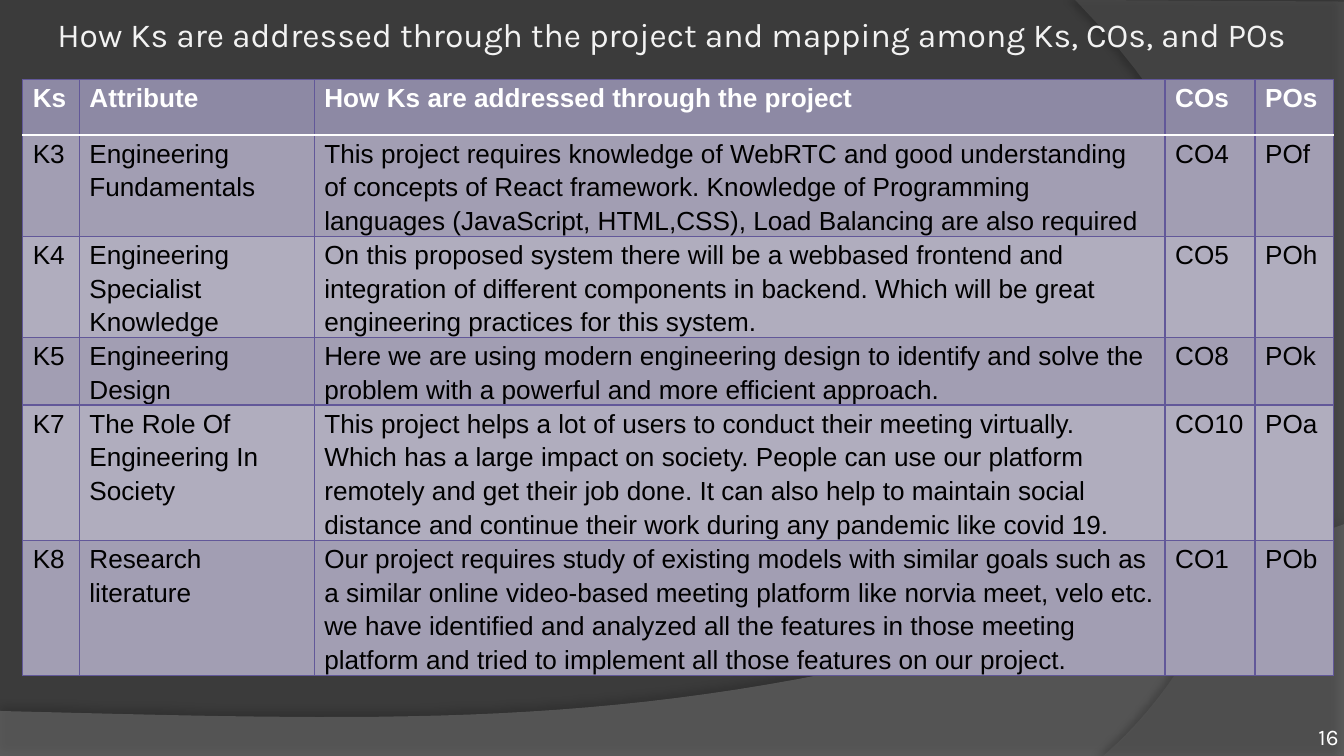
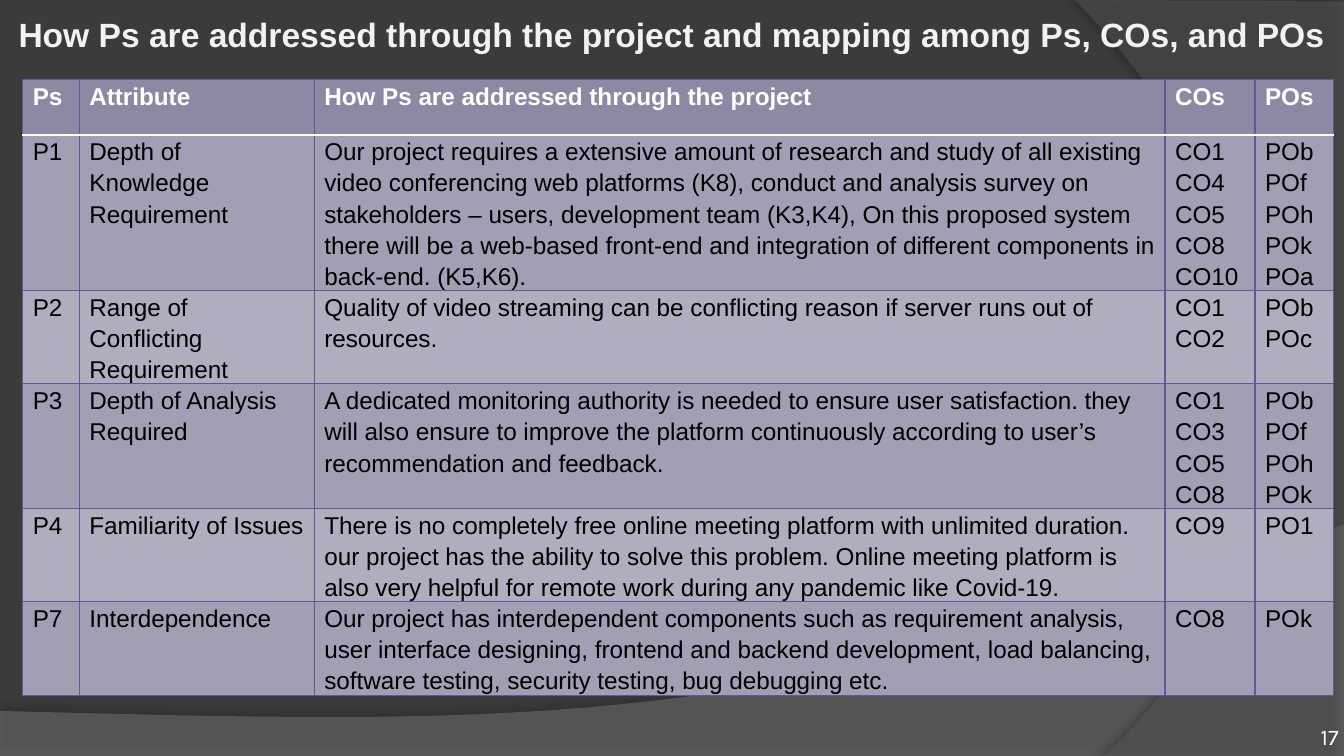
from dataclasses import dataclass

from lxml.etree import SubElement
from pptx import Presentation
from pptx.dml.color import RGBColor
from pptx.enum.text import MSO_ANCHOR, MSO_AUTO_SIZE, PP_ALIGN
from pptx.oxml.ns import qn
from pptx.util import Cm, Pt

# Shared look
BACKGROUND = "3B3B3B"
TITLE_COLOR = "F2F2F2"
WHITE = "FFFFFF"
BLACK = "000000"
BORDER = "625899"
HEADER_FILL = "8D89A4"
ROW_FILLS = ("A29EB3", "B0ADBE")
COLUMNS = (1.07, 4.44, 16.08, 1.7, 1.48)
ROW_HEIGHT = 1.05

Point = tuple[float, float]


@dataclass
class Band:
    """Translucent background shape: straight corners, then one Bezier curve."""
    corners: list[Point]
    curve: list[Point]
    color: str
    alpha: int
    shadow_alpha: int
    shadow_distance: float
    shadow_angle: int


@dataclass
class MappingSlide:
    number: int
    title: str
    title_font: str
    title_bold: bool
    table_height: float
    text_size: int
    rows: list[tuple[str, str, str, str, str]]


BANDS = [
    Band([(0, 13.44), (0, 14.29), (25.4, 14.29), (25.4, 9.91)],
         [(14.2, 13.89), (9.93, 13.69), (0, 13.44)],
         "7F7F7F", 45, 35, 3.5, 270),
    Band([(25.4, 0.03), (25.4, 14.29), (20.85, 14.29)],
         [(23.75, 11.79), (25.86, 5.72), (20.32, 0)],
         "5E5E5E", 40, 45, 4, 180),
]

SLIDES = [
    MappingSlide(
        16, "How Ks are addressed through the project and mapping among Ks, COs, and POs",
        "Karla", False, 11.63, 14,
        [
            ("Ks", "Attribute", "How Ks are addressed through the project", "COs", "POs"),
            ("K3", "Engineering Fundamentals",
             "This project requires knowledge of WebRTC and good understanding of concepts of "
             "React framework. Knowledge of Programming languages (JavaScript, HTML,CSS), Load "
             "Balancing are also required", "CO4", "POf"),
            ("K4", "Engineering Specialist Knowledge",
             "On this proposed system there will be a webbased frontend and integration of "
             "different components in backend. Which will be great engineering practices for "
             "this system.", "CO5", "POh"),
            ("K5", "Engineering Design",
             "Here we are using modern engineering design to identify and solve the problem "
             "with a powerful and more efficient approach.", "CO8", "POk"),
            ("K7", "The Role Of Engineering In Society",
             "This project helps a lot of users to conduct their meeting virtually. Which has a "
             "large impact on society. People can use our platform remotely and get their job "
             "done. It can also help to maintain social distance and continue their work during "
             "any pandemic like covid 19.", "CO10", "POa"),
            ("K8", "Research literature",
             "Our project requires study of existing models with similar goals such as a similar "
             "online video-based meeting platform like norvia meet, velo etc. we have identified "
             "and analyzed all the features in those meeting platform and tried to implement all "
             "those features on our project.", "CO1", "POb"),
        ]),
    MappingSlide(
        17, "How Ps are addressed through the project and mapping among Ps, COs, and POs",
        "Arial", True, 12.14, 13,
        [
            ("Ps", "Attribute", "How Ps are addressed through the project", "COs", "POs"),
            ("P1", "Depth of Knowledge Requirement",
             "Our project requires a extensive amount of research and study of all existing video "
             "conferencing web platforms (K8), conduct and analysis survey on stakeholders – "
             "users, development team (K3,K4), On this proposed system there will be a web-based "
             "front-end and integration of different components in back-end. (K5,K6).",
             "CO1\nCO4\nCO5\nCO8\nCO10", "POb\nPOf\nPOh\nPOk\nPOa"),
            ("P2", "Range of Conflicting Requirement",
             "Quality of video streaming can be conflicting reason if server runs out of "
             "resources.", "CO1\nCO2", "POb\nPOc"),
            ("P3", "Depth of Analysis Required",
             "A dedicated monitoring authority is needed to ensure user satisfaction. they will "
             "also ensure to improve the platform continuously according to user’s "
             "recommendation and feedback.", "CO1\nCO3\nCO5\nCO8", "POb\nPOf\nPOh\nPOk"),
            ("P4", "Familiarity of Issues",
             "There is no completely free online meeting platform with unlimited duration. our "
             "project has the ability to solve this problem. Online meeting platform is also very "
             "helpful for remote work during any pandemic like Covid-19.", "CO9", "PO1"),
            ("P7", "Interdependence",
             "Our project has interdependent components such as requirement analysis, user "
             "interface designing, frontend and backend development, load balancing, software "
             "testing, security testing, bug debugging etc.", "CO8", "POk"),
        ]),
]


def rgb(color: str) -> RGBColor:
    return RGBColor.from_string(color)


def format_text(tf, font: str, size: float, color: str, bold: bool = False,
                align=None, spacing: float | None = None) -> None:
    for p in tf.paragraphs:
        p.alignment = align
        p.line_spacing = spacing
        for r in p.runs:
            r.font.name = font
            r.font.size = Pt(size)
            r.font.bold = bold
            r.font.color.rgb = rgb(color)


def set_frame(tf, anchor) -> None:
    tf.word_wrap = True
    tf.auto_size = MSO_AUTO_SIZE.NONE
    tf.vertical_anchor = anchor
    tf.margin_left = tf.margin_top = tf.margin_right = tf.margin_bottom = 0


def place(sp, left: float, top: float, width: float, height: float) -> None:
    sp.left, sp.top, sp.width, sp.height = Cm(left), Cm(top), Cm(width), Cm(height)


def add_color(parent, color: str, alpha: int) -> None:
    clr = SubElement(parent, qn("a:srgbClr"), val=color)
    SubElement(clr, qn("a:alpha"), val=str(alpha * 1000))


# Background bands, shared through the layout
def bezier(points: list[Point], steps: int = 40) -> list[Point]:
    def at(t: float, axis: int) -> float:
        a, b, c, d = (pt[axis] for pt in points)
        u = 1 - t
        return u**3 * a + 3 * u * u * t * b + 3 * u * t * t * c + t**3 * d
    return [(at(i / steps, 0), at(i / steps, 1)) for i in range(1, steps + 1)]


def draw_band(s, band: Band):
    outline = band.corners + bezier([band.corners[-1], *band.curve])
    points = [(Cm(x), Cm(y)) for x, y in outline]
    builder = s.shapes.build_freeform(*points[0])
    builder.add_line_segments(points[1:], close=True)
    sp = builder.convert_to_shape()
    sp.line.fill.background()
    sp.fill.solid()
    sp.fill.fore_color.rgb = rgb(band.color)
    clr = sp.element.spPr.find(qn("a:solidFill")).find(qn("a:srgbClr"))
    SubElement(clr, qn("a:alpha"), val=str(band.alpha * 1000))
    sp.shadow.inherit = False
    shadow = SubElement(
        sp.element.spPr.find(qn("a:effectLst")), qn("a:outerShdw"),
        blurRad=str(Pt(4)), dist=str(Pt(band.shadow_distance)),
        dir=str(band.shadow_angle * 60000), algn="ctr", rotWithShape="0")
    add_color(shadow, BLACK, band.shadow_alpha)
    return sp


def dress_layout(layout, s) -> None:
    layout.background.fill.solid()
    layout.background.fill.fore_color.rgb = rgb(BACKGROUND)
    for i, band in enumerate(BANDS):
        layout.shapes.element.insert(2 + i, draw_band(s, band).element)


# Mapping table
def set_borders(cell, row: int) -> None:
    rule, thin = (WHITE, 1.5), (BORDER, 0.75)
    sides = {"lnL": thin, "lnR": thin,
             "lnT": rule if row == 1 else thin, "lnB": rule if row == 0 else thin}
    tc_pr = cell._tc.get_or_add_tcPr()
    for i, (side, (color, width)) in enumerate(sides.items()):
        ln = SubElement(tc_pr, qn(f"a:{side}"), w=str(Pt(width)))
        SubElement(SubElement(ln, qn("a:solidFill")), qn("a:srgbClr"), val=color)
        tc_pr.insert(i, ln)


def fill_cell(cell, text: str, row: int, size: int) -> None:
    header = row == 0
    cell.text_frame.text = text
    cell.margin_left = cell.margin_right = Cm(0.19)
    cell.margin_top = cell.margin_bottom = 0
    format_text(cell.text_frame, "Arial", size, WHITE if header else BLACK,
                bold=header, spacing=1.15)
    cell.fill.solid()
    cell.fill.fore_color.rgb = rgb(HEADER_FILL if header else ROW_FILLS[(row - 1) % 2])
    set_borders(cell, row)


def draw_table(s, data: MappingSlide) -> None:
    frame = s.shapes.add_table(len(data.rows), len(COLUMNS), Cm(0.43), Cm(1.5),
                               Cm(sum(COLUMNS)), Cm(data.table_height))
    table = frame.table
    for column, width in zip(table.columns, COLUMNS):
        column.width = Cm(width)
    for i, texts in enumerate(data.rows):
        table.rows[i].height = Cm(ROW_HEIGHT)
        for j, text in enumerate(texts):
            fill_cell(table.cell(i, j), text, i, data.text_size)
    frame.height = Cm(data.table_height)


# Title and page number
def draw_title(s, data: MappingSlide) -> None:
    sp = s.shapes.title
    place(sp, 0, 0.41, 25.4, 0.81)
    tf = sp.text_frame
    tf.text = data.title
    set_frame(tf, MSO_ANCHOR.TOP)
    format_text(tf, data.title_font, 18, TITLE_COLOR, data.title_bold,
                PP_ALIGN.CENTER, 0.8)


def draw_number(s, number: int) -> None:
    sp = s.shapes.add_textbox(Cm(24.03), Cm(12.88), Cm(1.27), Cm(1.3))
    tf = sp.text_frame
    tf.text = str(number)
    set_frame(tf, MSO_ANCHOR.BOTTOM)
    format_text(tf, "Karla", 12, WHITE, align=PP_ALIGN.RIGHT)


def main() -> None:
    prs = Presentation()
    prs.slide_width, prs.slide_height = Cm(25.4), Cm(14.29)
    layout = prs.slide_layouts[5]
    for i, data in enumerate(SLIDES):
        s = prs.slides.add_slide(layout)
        if i == 0:
            dress_layout(layout, s)
        draw_title(s, data)
        draw_number(s, data.number)
        draw_table(s, data)
    prs.save("out.pptx")


if __name__ == "__main__":
    main()
